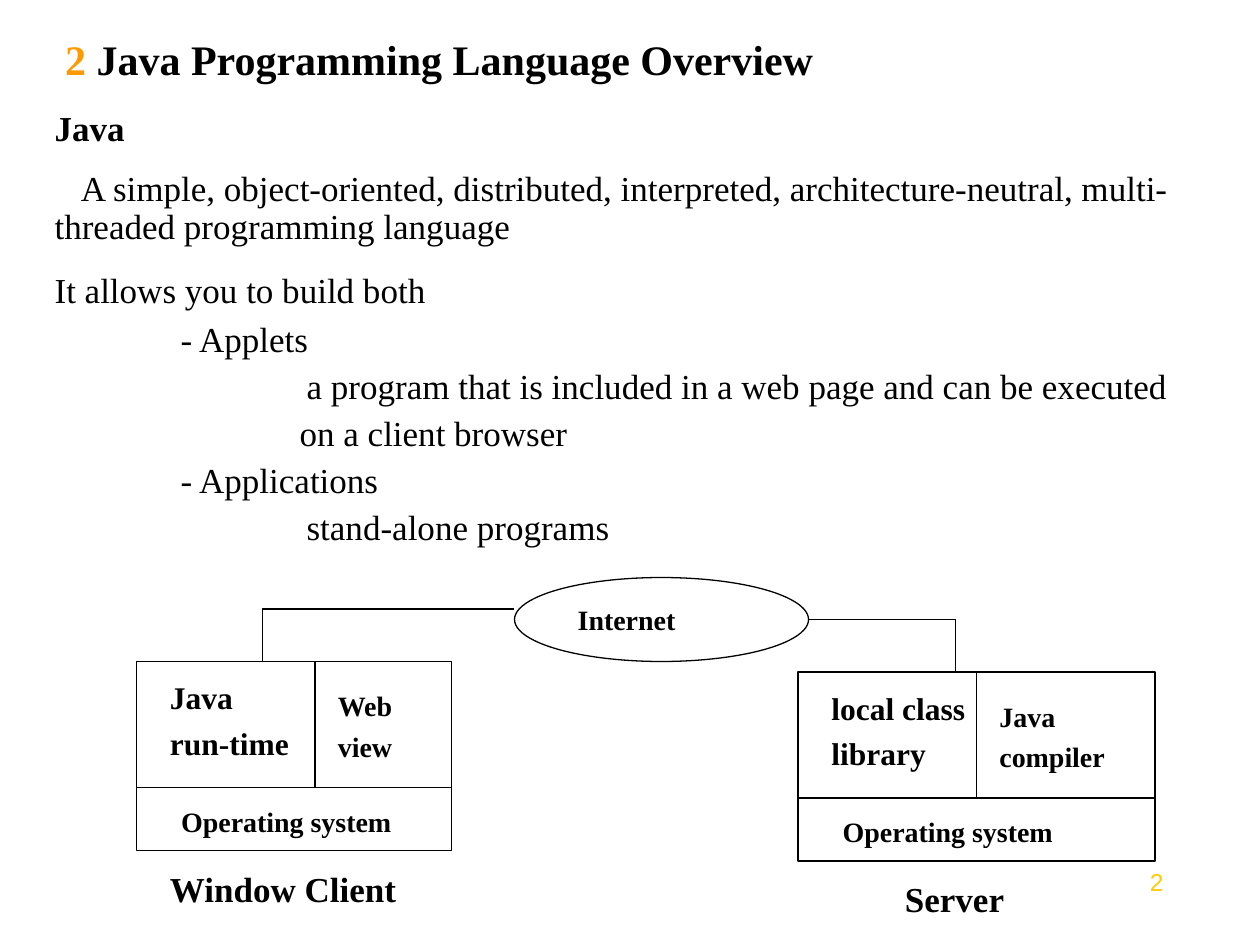
from lxml import etree
from pptx import Presentation
from pptx.dml.color import RGBColor
from pptx.enum import shapes, text
from pptx.oxml import ns
from pptx.util import Pt

COLORS = {"ink": "000000", "section": "FF9900", "page": "FFCC00"}
SERIF = "Times New Roman"
LINE_WIDTH = 0.75

# text, bold, line spacing, left margin, first-line indent
BODY = [
    ("Java", True, 0.9, 0, 0),
    ("A simple, object-oriented, distributed, interpreted, architecture-neutral, "
     "multi-threaded programming language", False, 0.9, 0, 15),
    ("It allows you to build both", False, 1.0, 0, 0),
    ("- Applets", False, 0.6, 72, 0),
    ("a program that is included in a web page and can be executed", False, 0.6, 144, 0),
    ("on a client browser", False, 0.6, 140, 0),
    ("- Applications", False, 0.6, 72, 0),
    ("stand-alone programs", False, 0.6, 144, 0),
]


def color(name):
    return RGBColor.from_string(COLORS[name])


def set_font(font, size, bold=False, name=SERIF, ink="ink"):
    font.name, font.size, font.bold = name, Pt(size), bold
    font.color.rgb = color(ink)


def place(sp, x, y, w, h):
    sp.left, sp.top, sp.width, sp.height = Pt(x), Pt(y), Pt(w), Pt(h)


def fill_title(sp, number, wording):
    place(sp, 30, 18, 612, 36)
    tf = sp.text_frame
    tf.auto_size = text.MSO_AUTO_SIZE.NONE
    tf.vertical_anchor = text.MSO_ANCHOR.MIDDLE
    p = tf.paragraphs[0]
    p.alignment = text.PP_ALIGN.LEFT
    p.line_spacing = 0.8
    for part, ink in ((number, "section"), (" " + wording, "ink")):
        r = p.add_run()
        r.text = part
        set_font(r.font, 24, True, ink=ink)


def fill_body(sp):
    place(sp, 24, 60, 672, 255.5)
    tf = sp.text_frame
    tf.auto_size = text.MSO_AUTO_SIZE.NONE
    tf.text = "\n".join(row[0] for row in BODY)
    for p, (_, bold, spacing, margin, indent) in zip(tf.paragraphs, BODY):
        set_font(p.font, 20, bold)
        p.line_spacing = spacing
        p.space_before = Pt(12.5)
        pPr = p._p.get_or_add_pPr()
        pPr.set("marL", str(Pt(margin)))
        pPr.set("indent", str(Pt(indent)))
        bullet = etree.Element(ns.qn("a:buNone"))
        pPr.find(ns.qn("a:spcBef")).addnext(bullet)


def add_label(s, lines, x, y, w, size, wrap=False):
    """Bold text box whose height follows from its lines."""
    gap = size / 4
    h = len(lines) * size * 1.2 + (len(lines) - 1) * gap + 7.2
    tf = s.shapes.add_textbox(Pt(x), Pt(y), Pt(w), Pt(h)).text_frame
    tf.word_wrap = wrap
    tf.auto_size = text.MSO_AUTO_SIZE.SHAPE_TO_FIT_TEXT
    tf.text = "\n".join(lines)
    for p in tf.paragraphs:
        set_font(p.font, size, True)
        p.space_before = Pt(gap)


def add_outline(s, kind, x, y, w, h):
    sp = s.shapes.add_shape(kind, Pt(x), Pt(y), Pt(w), Pt(h))
    sp.shadow.inherit = False
    sp.fill.background()
    sp.line.color.rgb = color("ink")
    sp.line.width = Pt(LINE_WIDTH)


def add_wire(s, *points):
    """Straight connectors through the given points."""
    for (x1, y1), (x2, y2) in zip(points, points[1:]):
        c = s.shapes.add_connector(shapes.MSO_CONNECTOR.STRAIGHT,
                                   Pt(x1), Pt(y1), Pt(x2), Pt(y2))
        c.line.color.rgb = color("ink")
        c.line.width = Pt(LINE_WIDTH)
        etree.SubElement(c._element.spPr, ns.qn("a:effectLst"))


def add_machine(s, x, y, left, left_w, right, right_w, right_label_w):
    """Two software boxes side by side on top of an operating system."""
    rect = shapes.MSO_SHAPE.RECTANGLE
    add_outline(s, rect, x, y, 102, 72)
    add_outline(s, rect, x + 102, y, right_w, 72)
    add_outline(s, rect, x, y + 72, 102 + right_w, 36)
    add_label(s, left, x + 12, y + 6, left_w, 18)
    add_label(s, right, x + 108, y + 12, right_label_w, 16)
    add_label(s, ["Operating system"], x + 18.5, y + 78, 136, 16)


def add_page_number(s, number):
    tf = s.shapes.add_textbox(Pt(624), Pt(492), Pt(48), Pt(37.5)).text_frame
    tf.word_wrap = True
    p = tf.paragraphs[0]
    p.text = number
    p.alignment = text.PP_ALIGN.RIGHT
    set_font(p.font, 14, name="Arial", ink="page")


def main():
    prs = Presentation()
    prs.slide_width, prs.slide_height = Pt(720), Pt(540)
    s = prs.slides.add_slide(prs.slide_layouts[1])

    fill_title(s.shapes.title, "2", "Java Programming Language Overview")
    fill_body(s.placeholders[1])

    add_machine(s, 78, 378, ["Java", "run-time"], 85, ["Web", "view"], 78, 52)
    add_machine(s, 456, 384, ["local class", "library"], 93,
                ["Java", "compiler"], 102, 96)
    add_outline(s, shapes.MSO_SHAPE.OVAL, 294, 330, 168, 48)
    add_label(s, ["Internet"], 323, 340.5, 73, 16)
    add_wire(s, (150, 378), (150, 348), (294, 348))
    add_wire(s, (462, 354), (546, 354), (546, 384))
    add_label(s, ["Window Client"], 90, 492, 168, 20, wrap=True)
    add_label(s, ["Server"], 510, 498, 180, 20, wrap=True)

    add_page_number(s, "2")
    prs.save("out.pptx")


if __name__ == "__main__":
    main()
